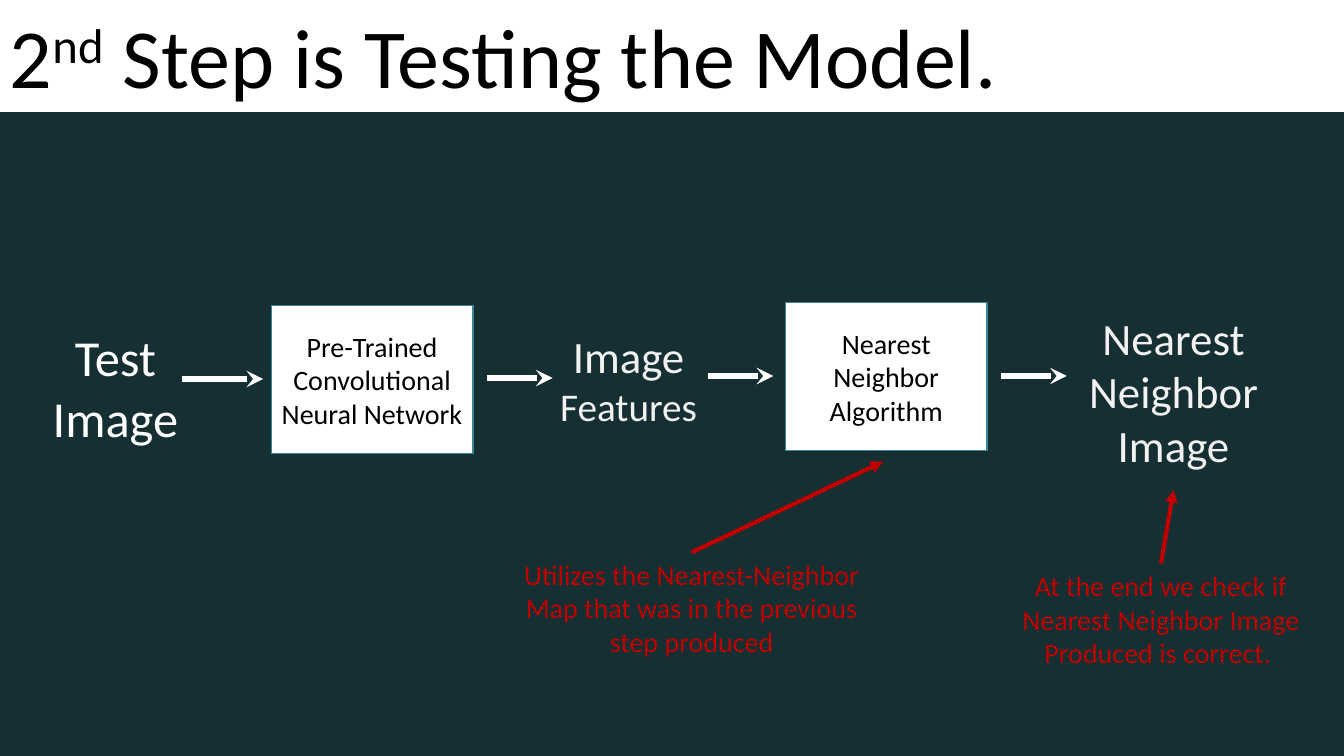
from lxml.etree import SubElement
from pptx import Presentation
from pptx.dml.color import RGBColor
from pptx.enum.shapes import MSO_CONNECTOR, MSO_SHAPE
from pptx.enum.text import MSO_ANCHOR, MSO_AUTO_SIZE, PP_ALIGN
from pptx.oxml.ns import qn
from pptx.util import Inches, Pt

DARK = RGBColor(0x16, 0x2F, 0x33)
WHITE = RGBColor(0xFF, 0xFF, 0xFF)
PALE = RGBColor(0xF2, 0xF2, 0xF2)
BLACK = RGBColor(0, 0, 0)
TEAL = RGBColor(0x3B, 0x85, 0x94)
RED = RGBColor(0xC0, 0, 0)


def style(font, size, color):
    font.name = "Calibri"
    font.size = Pt(size)
    font.color.rgb = color


def write(shape, lines, size, color, anchor=MSO_ANCHOR.TOP):
    frame = shape.text_frame
    frame.word_wrap = True
    frame.vertical_anchor = anchor
    if anchor == MSO_ANCHOR.TOP:
        frame.auto_size = MSO_AUTO_SIZE.SHAPE_TO_FIT_TEXT
    frame.text = lines
    for para in frame.paragraphs:
        para.alignment = PP_ALIGN.CENTER
        style(para.font, size, color)


def add_block(slide, kind, box):
    shape = slide.shapes.add_shape(kind, *map(Inches, box))
    shape.shadow.inherit = False
    shape.fill.solid()
    shape.fill.fore_color.rgb = WHITE
    return shape


def add_label(slide, box, lines, size, color):
    label = slide.shapes.add_textbox(*map(Inches, box))
    write(label, lines, size, color)
    return label


def add_arrow(slide, start, end, color, width, head):
    line = slide.shapes.add_connector(
        MSO_CONNECTOR.STRAIGHT, *map(Inches, start + end))
    line.line.color.rgb = color
    line.line.width = Pt(width)
    SubElement(line.line._get_or_add_ln(), qn("a:tailEnd"), type=head)
    SubElement(line._element.spPr, qn("a:effectLst"))
    return line


def add_title(slide, box):
    bar = add_block(slide, MSO_SHAPE.RECTANGLE, box)
    bar.line.fill.background()
    frame = bar.text_frame
    frame.word_wrap = True
    frame.vertical_anchor = MSO_ANCHOR.TOP
    frame.auto_size = MSO_AUTO_SIZE.SHAPE_TO_FIT_TEXT
    para = frame.paragraphs[0]
    para.alignment = PP_ALIGN.LEFT
    style(para.font, 60, BLACK)
    for text in ("2", "nd", " Step is Testing the Model."):
        run = para.add_run()
        run.text = text
        if text == "nd":
            run._r.get_or_add_rPr().set("baseline", "30000")


def add_step(slide, box, text):
    step = add_block(slide, MSO_SHAPE.FLOWCHART_PROCESS, box)
    step.line.color.rgb = TEAL
    step.line.width = Pt(1)
    write(step, text, 20, BLACK, MSO_ANCHOR.MIDDLE)


def add_flow(slide, box):
    left, top, width, height = box
    # Inputs and outputs
    add_label(slide, (left, top + 0.19, 1.53, 1.31), "Test\nImage", 36, WHITE)
    mid = slide.shapes.add_textbox(
        *map(Inches, (left + 4.97, top + 0.21, 1.77, 1.11)))
    write(mid, "", 32, PALE)
    para = mid.text_frame.paragraphs[0]
    for text, size in (("Image ", 32), ("Features", 28)):
        run = para.add_run()
        run.text = text
        style(run.font, size, PALE)
    add_label(slide, (left + width - 2, top + 0.03, 2, 1.72),
              "Nearest Neighbor Image", 32, PALE)
    # Process steps
    add_step(slide, (left + 2.31, top + 0.03, 2, 1.47),
             "Pre-Trained Convolutional Neural Network")
    add_step(slide, (left + 7.41, top, 2, 1.47), "Nearest Neighbor Algorithm")
    # Arrows between the stages
    for x, y, size in ((1.43, 0.76, 0.8), (4.45, 0.75, 0.65),
                       (6.64, 0.73, 0.65), (9.55, 0.73, 0.65)):
        start = (left + x, top + y)
        add_arrow(slide, start, (start[0] + size, start[1]),
                  WHITE, 4, "stealth")


def add_note(slide, box, text, target):
    note = add_label(slide, box, text, 20, RED)
    left, top, width, height = box
    arrow = add_arrow(slide, (left + width / 2, top), target,
                      RED, 3, "triangle")
    arrow.begin_connect(note, 0)


def main():
    deck = Presentation()
    deck.slide_width, deck.slide_height = Inches(13.33), Inches(7.5)
    slide = deck.slides.add_slide(deck.slide_layouts[6])
    slide.background.fill.solid()
    slide.background.fill.fore_color.rgb = DARK
    add_title(slide, (0, 0, 13.33, 1.11))
    add_flow(slide, (0.38, 3, 12.26, 1.75))
    add_note(slide, (4.96, 5.48, 3.8, 1.11),
             "Utilizes the Nearest-Neighbor Map that was in the previous "
             "step produced", (8.76, 4.58))
    add_note(slide, (9.93, 5.59, 3.17, 1.11),
             "At the end we check if Nearest Neighbor Image Produced is "
             "correct. ", (11.64, 4.86))
    deck.save("out.pptx")


if __name__ == "__main__":
    main()
